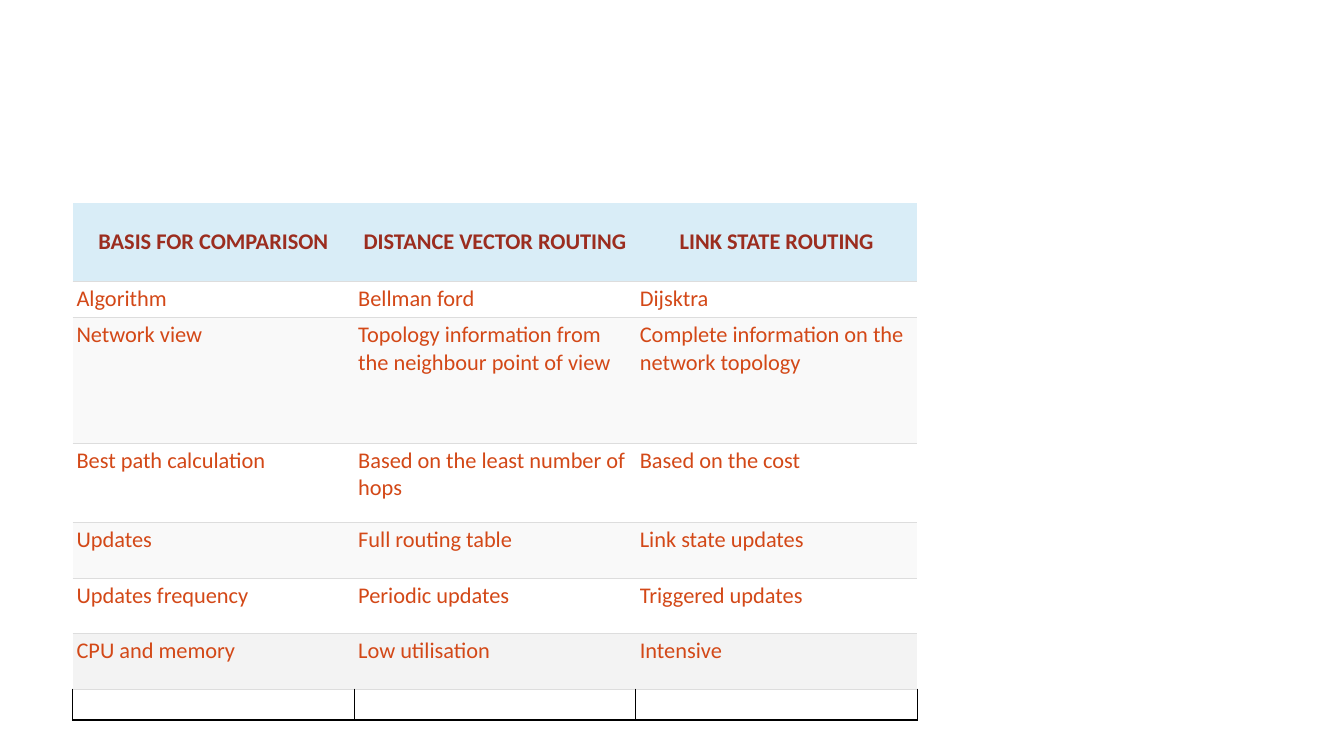
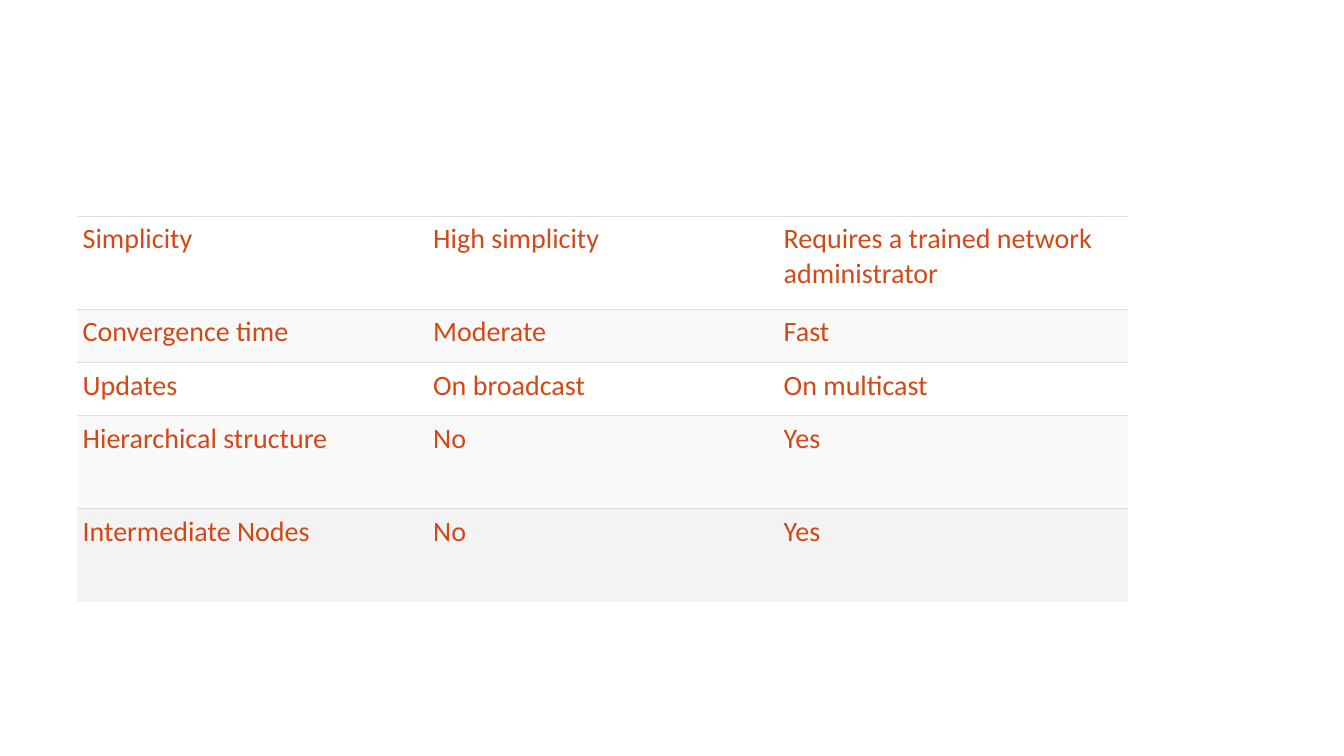
from lxml import etree
from pptx import Presentation
from pptx.dml.color import RGBColor
from pptx.enum.text import MSO_ANCHOR, PP_ALIGN
from pptx.oxml.ns import qn
from pptx.util import Inches, Pt

CENTER, LEFT = PP_ALIGN.CENTER, PP_ALIGN.LEFT
MIDDLE, TOP = MSO_ANCHOR.MIDDLE, MSO_ANCHOR.TOP
PLAIN = "{2D5ABB26-0587-4C30-8999-92F81FD0307C}"


def color(code):
    return RGBColor.from_string(code)


class Deck:
    FONT = "Calibri"
    HEAD, BODY = "9B2D1F", "D34817"
    RULE, FRAME = "DDDDDD", "000000"
    FILLS = {"head": "D9EDF7", "plain": "FFFFFF", "band": "F9F9F9", "last": "F3F3F3"}

    def __init__(self):
        self.prs = Presentation()
        self.prs.slide_width = Inches(13.33)
        self.prs.slide_height = Inches(7.5)
        self.slide = None

    def page(self):
        self.slide = self.prs.slides.add_slide(self.prs.slide_layouts[6])

    def wide(self, share):
        return round(self.prs.slide_width * share / 100)

    def high(self, share):
        return round(self.prs.slide_height * share / 100)

    def edge(self, cell, side, code, width):
        props = cell._tc.get_or_add_tcPr()
        line = etree.SubElement(props, qn("a:ln" + side), w=str(Pt(width)))
        fill = etree.SubElement(line, qn("a:solidFill"))
        etree.SubElement(fill, qn("a:srgbClr"), val=code)

    def cell(self, cell, kind, text, size, pad):
        cell.margin_left = cell.margin_right = Inches(pad)
        cell.margin_top = cell.margin_bottom = Inches(pad)
        if kind == "empty":
            cell.margin_top = cell.margin_bottom = 0
            for side in "LRB":
                self.edge(cell, side, self.FRAME, 1)
            return
        head = kind == "head"
        if not head:
            self.edge(cell, "T", self.RULE, 0.5)
        cell.fill.solid()
        cell.fill.fore_color.rgb = color(self.FILLS[kind])
        cell.vertical_anchor = MIDDLE if head else TOP
        cell.text_frame.text = text
        para = cell.text_frame.paragraphs[0]
        para.alignment = CENTER if head else LEFT
        font = para.runs[0].font
        font.name, font.size, font.bold = self.FONT, Pt(size), head
        font.color.rgb = color(self.HEAD if head else self.BODY)

    def table(self, left, top, width, size, pad, rows):
        count = len(rows[0][2])
        total = sum(row[1] for row in rows)
        table = self.slide.shapes.add_table(
            len(rows), count, self.wide(left), self.high(top),
            self.wide(width), self.high(total)).table
        table.first_row = table.horz_banding = False
        table._tbl.tblPr.find(qn("a:tableStyleId")).text = PLAIN
        for col in table.columns:
            col.width = self.wide(width / count)
        for row, (kind, height, texts) in zip(table.rows, rows):
            row.height = self.high(height)
            for cell, text in zip(row.cells, texts):
                self.cell(cell, kind, text, size, pad)


def main():
    deck = Deck()

    deck.page()
    deck.table(5.4, 26.8, 62.87, 16, 0.04, [
        ("head", 10.4, ("BASIS FOR COMPARISON", "DISTANCE VECTOR ROUTING",
                        "LINK STATE ROUTING")),
        ("plain", 4.8, ("Algorithm", "Bellman ford", "Dijsktra")),
        ("band", 16.6, ("Network view",
                        "Topology information from the neighbour point of view",
                        "Complete information on the network topology")),
        ("plain", 10.5, ("Best path calculation",
                         "Based on the least number of hops",
                         "Based on the cost")),
        ("band", 7.35, ("Updates", "Full routing table", "Link state updates")),
        ("plain", 7.35, ("Updates frequency", "Periodic updates",
                         "Triggered updates")),
        ("last", 7.35, ("CPU and memory", "Low utilisation", "Intensive")),
        ("empty", 4.1, ("", "", "")),
    ])

    deck.page()
    deck.table(5.7, 28.6, 78.25, 20, 0.06, [
        ("plain", 12.3, ("Simplicity", "High simplicity",
                         "Requires a trained network administrator")),
        ("band", 7.05, ("Convergence time", "Moderate", "Fast")),
        ("plain", 7.05, ("Updates", "On broadcast", "On multicast")),
        ("band", 12.3, ("Hierarchical structure", "No", "Yes")),
        ("last", 12.3, ("Intermediate Nodes", "No", "Yes")),
    ])

    deck.prs.save("out.pptx")


if __name__ == "__main__":
    main()
